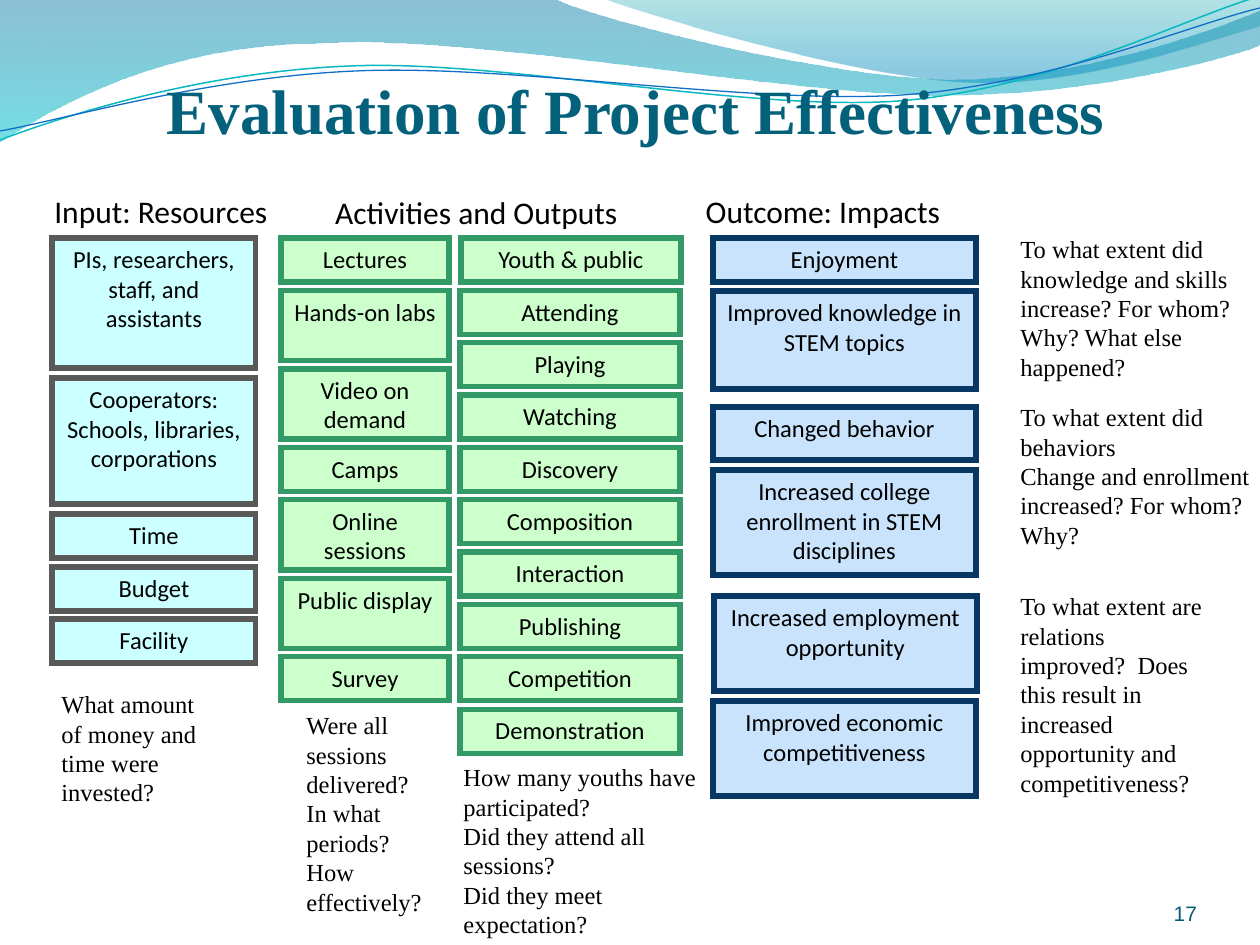
from dataclasses import dataclass
from lxml.etree import SubElement
from pptx import Presentation
from pptx.dml.color import RGBColor
from pptx.enum.shapes import MSO_SHAPE
from pptx.enum.text import MSO_ANCHOR, MSO_AUTO_SIZE, PP_ALIGN
from pptx.oxml.ns import qn
from pptx.util import Inches, Pt


@dataclass(frozen=True)
class Theme:
    ink: str = "000000"
    title: str = "04617B"
    number: str = "045D75"
    input_colors: tuple = ("CCFFFF", "595959")
    activity_colors: tuple = ("CCFFCC", "339966")
    outcome_colors: tuple = ("C8E3FB", "083763")
    serif: str = "Times New Roman"
    sans: str = "Calibri"
    plain: str = "Arial"
    title_size: int = 36
    heading_size: int = 18
    body_size: int = 14
    number_size: int = 12


theme = Theme()
PX = Inches(1) / 126

deck = Presentation()
deck.slide_width, deck.slide_height = Inches(10), Inches(7.5)
page = deck.slides.add_slide(deck.slide_layouts[5])


def write(shape, text, font, size, color=theme.ink, align=PP_ALIGN.LEFT, anchor=MSO_ANCHOR.TOP):
    frame = shape.text_frame
    frame.text = text
    frame.word_wrap = True
    frame.auto_size = MSO_AUTO_SIZE.NONE
    frame.vertical_anchor = anchor
    for para in frame.paragraphs:
        para.alignment = align
        for span in para.runs:
            span.font.name, span.font.size = font, Pt(size)
            span.font.color.rgb = RGBColor.from_string(color)
    return frame


def add_wave(start, segments, closed):
    """Each segment is one point (straight) or three points (cubic curve)."""
    points = [start, *(point for segment in segments for point in segment)]
    corners = [(round(x * PX), round(y * PX)) for x, y in points]
    builder = page.shapes.build_freeform(*corners[0], scale=1.0)
    builder.add_line_segments(corners[1:], close=closed)
    wave = builder.convert_to_shape()
    wave.shadow.inherit = False
    # Swap the straight outline for true curves within the same frame
    outline = next(wave.element.iter(qn("a:path")))
    for node in list(outline):
        outline.remove(node)
    tags = {1: "a:lnTo", 3: "a:cubicBezTo"}
    remaining = iter(corners)
    for tag, count in [("a:moveTo", 1)] + [(tags[len(segment)], len(segment)) for segment in segments]:
        command = SubElement(outline, qn(tag))
        for _ in range(count):
            x, y = next(remaining)
            SubElement(command, qn("a:pt"), x=str(x - wave.left), y=str(y - wave.top))
    if closed:
        SubElement(outline, qn("a:close"))
    return wave


# Shaded waves: start, segments, gradient stops (position, colour, opacity %)
bands = [
    ((0, -1), [[(554, -1)],
               [(600, 21), (837, 79), (955, 79)], [(1075, 79), (1207, 33), (1260, 11)],
               [(1261, 45)],
               [(1239, 55), (1096, 96), (940, 95)], [(783, 95), (481, 35), (324, 43)],
               [(163, 44), (58, 105), (-1, 142)], [(0, -1)]],
     [(0, "0074A1", 45), (1, "00C6CF", 55)]),
    ((604, -1), [[(641, 14), (859, 78), (969, 82)], [(1079, 87), (1211, 40), (1260, 26)],
                 [(1260, 0)], [(604, -1)]],
     [(0, "00A1A9", 30), (0.8, "008BBF", 45)]),
]
for start, segments, stops in bands:
    band = add_wave(start, segments, True)
    band.line.fill.background()
    band.fill.gradient()
    band.fill.gradient_angle = 270
    for stop, (position, color, _) in zip(band.fill.gradient_stops, stops):
        stop.position = position
        stop.color.rgb = RGBColor.from_string(color)
    for node, (_, _, opacity) in zip(band.element.iter(qn("a:srgbClr")), stops):
        SubElement(node, qn("a:alpha")).set("val", str(opacity * 1000))

# Thin wave lines: start, curves, colour, width
strands = [
    ((0, 140), [[(60, 117), (199, 72), (349, 66)], [(498, 59), (747, 112), (898, 101)],
                [(1050, 89), (1182, 19), (1257, -3)]], "0AB8BF", 0.85),
    ((0, 131), [[(59, 121), (207, 77), (357, 71)], [(508, 64), (752, 105), (903, 95)],
                [(1053, 84), (1186, 26), (1260, 8)]], "0F6FC6", 0.75),
]
for start, segments, color, width in strands:
    strand = add_wave(start, segments, False)
    strand.fill.background()
    strand.line.color.rgb = RGBColor.from_string(color)
    strand.line.width = Pt(width)

# Title, in front of the waves
title = page.shapes.title
title.element.getparent().append(title.element)
title.left, title.top, title.width, title.height = [round(v * PX) for v in (127, 52, 1018, 95)]
frame = write(title, "Evaluation of Project Effectiveness", theme.serif, theme.title_size,
              theme.title, PP_ALIGN.CENTER, MSO_ANCHOR.BOTTOM)
frame.margin_left = frame.margin_right = frame.margin_bottom = 0
frame.paragraphs[0].runs[0].font.bold = True

# Headings, questions and page number: text, place, font, size, colour, alignment
heading = (theme.sans, theme.heading_size, theme.ink)
question = (theme.serif, theme.body_size, theme.ink, PP_ALIGN.LEFT)
texts = [
    ("Input: Resources", (42, 186, 241, 50), *heading, PP_ALIGN.LEFT),
    ("Activities and Outputs", (256, 187, 441, 50), *heading, PP_ALIGN.CENTER),
    ("Outcome: Impacts", (650, 186, 346, 50), *heading, PP_ALIGN.CENTER),
    ("What amount of money and time were invested?", (49, 683, 181, 147), *question),
    ("Were all sessions delivered?\nIn what\nperiods?\nHow\neffectively?", (294, 704, 179, 241), *question),
    ("How many youths have participated?\nDid they attend all sessions?\nDid they meet expectation?",
     (451, 756, 273, 179), *question),
    ("To what extent did knowledge and skills increase? For whom? Why? What else happened?",
     (1008, 228, 242, 171), *question),
    ("To what extent did behaviors\nChange and enrollment increased? For whom? Why?",
     (1008, 396, 262, 189), *question),
    ("To what extent are relations improved?  Does this result in increased opportunity and competitiveness?",
     (1008, 585, 220, 231), *question),
    ("17", (1092, 876, 105, 50), theme.plain, theme.number_size, theme.number, PP_ALIGN.RIGHT),
]
for text, place, *style in texts:
    box = page.shapes.add_textbox(*[round(v * PX) for v in place])
    frame = write(box, text, *style)
frame.vertical_anchor = MSO_ANCHOR.BOTTOM
frame.margin_left = frame.margin_top = frame.margin_right = frame.margin_bottom = 0

# Activity and output boxes share one row rhythm; tall boxes take one and a half rows
TOP, ROW, GAP = 238, 52.36, 8.3
activities = [("Lectures", 1), ("Hands-on labs", 1.5), ("Video on demand", 1.5), ("Camps", 1),
              ("Online sessions", 1.5), ("Public display", 1.5), ("Survey", 1)]
outputs = [(name, 1) for name in (
    "Youth & public", "Attending", "Playing", "Watching", "Discovery",
    "Composition", "Interaction", "Publishing", "Competition", "Demonstration")]
stacks = []
for items in (activities, outputs):
    rows, used = [], 0
    for name, units in items:
        rows.append((name, TOP + used * ROW, units * ROW - GAP))
        used += units
    stacks.append(rows)

inputs = [("PIs, researchers, staff, and assistants", 238, 130),
          ("Cooperators: Schools, libraries, corporations", 378, 126),
          ("Time", 514, 44), ("Budget", 567, 44), ("Facility", 619, 44)]
outcomes = [("Enjoyment", 238, 44), ("Improved knowledge in STEM topics", 291, 98),
            ("Changed behavior", 407, 53),
            ("Increased college enrollment in STEM disciplines", 470, 105),
            ("Increased employment opportunity", 596, 95),
            ("Improved economic competitiveness", 701, 95)]
nudged = ("Youth & public", "Increased employment opportunity")

# Columns: left, width, (fill, line), boxes
columns = [
    (52, 204, theme.input_colors, inputs),
    (281, 168, theme.activity_colors, stacks[0]),
    (460, 220, theme.activity_colors, stacks[1]),
    (713, 263, theme.outcome_colors, outcomes),
]
for left, width, (fill, line), rows in columns:
    for text, top, height in rows:
        place = (left + (text in nudged), top, width, height)
        box = page.shapes.add_shape(MSO_SHAPE.RECTANGLE, *[round(v * PX) for v in place])
        box.shadow.inherit = False
        box.fill.solid()
        box.fill.fore_color.rgb = RGBColor.from_string(fill)
        box.line.color.rgb = RGBColor.from_string(line)
        box.line.width = Pt(3)
        SubElement(next(box.element.iter(qn("a:ln"))), qn("a:miter")).set("lim", "800000")
        write(box, text, theme.sans, theme.body_size, align=PP_ALIGN.CENTER)

deck.save("out.pptx")
